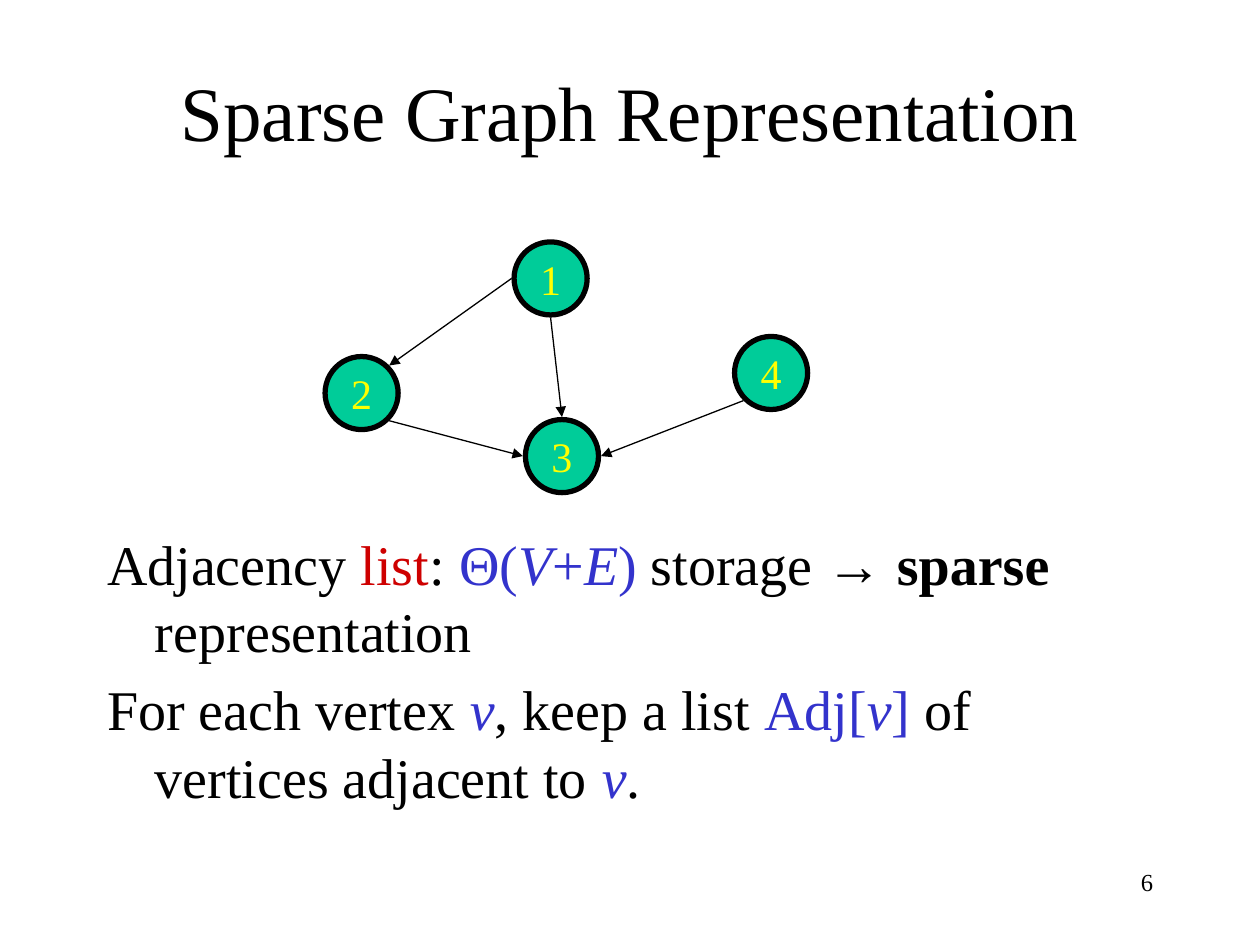
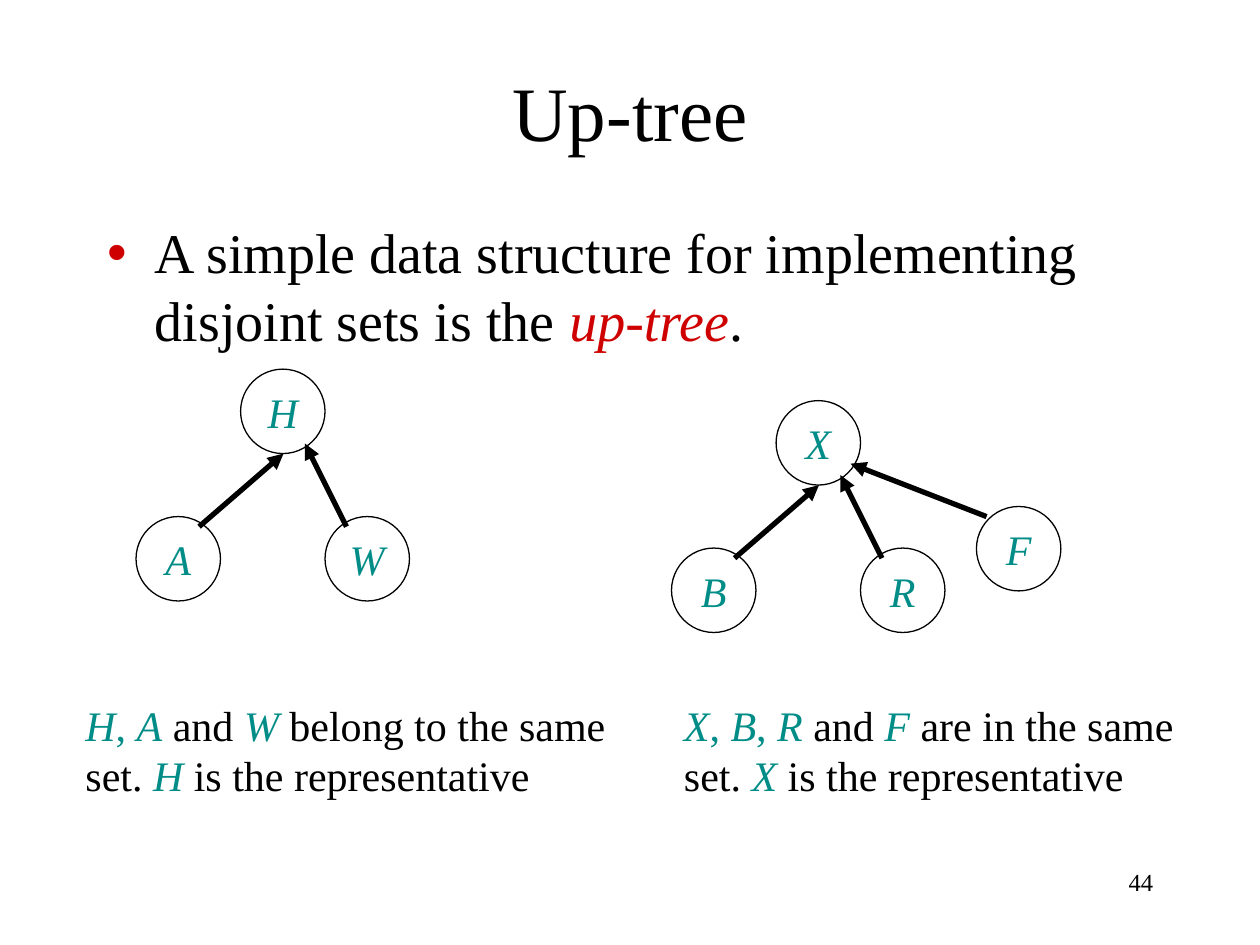
"""Build two slides on sparse graph representation and up-trees."""
from math import cos, radians, sin

from lxml.etree import SubElement
from pptx import Presentation
from pptx.dml.color import RGBColor
from pptx.enum.shapes import MSO_CONNECTOR as Connector, MSO_SHAPE as Shape
from pptx.enum.text import MSO_ANCHOR as Anchor, MSO_AUTO_SIZE as AutoSize, PP_ALIGN as Align
from pptx.oxml.ns import qn
from pptx.util import Inches, Pt

FONT = "Times New Roman"
BLACK = RGBColor(0x00, 0x00, 0x00)
RED = RGBColor(0xCE, 0x00, 0x00)
BLUE = RGBColor(0x33, 0x33, 0xCC)
TEAL = RGBColor(0x00, 0x8C, 0x87)
GREEN = RGBColor(0x00, 0xCC, 0x99)
YELLOW = RGBColor(0xFF, 0xFF, 0x00)

STYLES = {
    "red": {"color": RED},
    "red italic": {"color": RED, "italic": True},
    "blue": {"color": BLUE},
    "blue italic": {"color": BLUE, "italic": True},
    "teal": {"color": TEAL},
    "teal italic": {"color": TEAL, "italic": True},
    "bold": {"bold": True},
    "plain": {},
}

SPARSE_TEXT = [
    [("Adjacency ", "plain"), ("list", "red"), (": ", "plain"), ("Θ(", "blue"),
     ("V", "blue italic"), ("+", "blue"), ("E", "blue italic"), (")", "blue"),
     (" storage → ", "plain"), ("sparse", "bold"), (" representation", "plain")],
    [("For each vertex ", "plain"), ("v", "blue italic"), (", keep a list ", "plain"),
     ("Adj[", "blue"), ("v", "blue italic"), ("]", "blue"),
     (" of vertices adjacent to ", "plain"), ("v", "blue italic"), (".", "plain")],
]
VERTEX_SIZE = 0.58
VERTEX_REACH = 0.31
VERTICES = {"1": (4.08, 1.92), "2": (2.58, 2.83), "3": (4.17, 3.33), "4": (5.83, 2.67)}
EDGES = [("1", 180, "2", 45), ("2", -45, "3", 180), ("1", -90, "3", 90), ("4", 225, "3", 0)]

UP_TREE_TEXT = [
    [("A simple data structure for implementing disjoint sets is the ", "plain"),
     ("up-tree", "red italic"), (".", "plain")],
]
MEMBER_SIZE = 0.67
BRANCHES = [
    {"offset": (-0.83, 1.17), "start": (0.5, 0.08), "end": (0.34, 0.67)},
    {"offset": (0.67, 1.17), "start": (0.17, 0.08), "end": (0.51, 0.59)},
    {"offset": (1.59, 0.84), "start": (0.08, 0.08), "end": (0.59, 0.5)},
]
TREES = [
    {"root": "H", "at": (1.91, 2.93), "children": "AW", "caption_at": (0.58, 5.5, 4.5, 0.9),
     "caption": [("H", "teal italic"), (", ", "teal"), ("A", "teal italic"),
                 (" and ", "plain"), ("W", "teal italic"),
                 (" belong to the same set. ", "plain"), ("H", "teal italic"),
                 (" is the representative", "plain")]},
    {"root": "X", "at": (6.16, 3.18), "children": "BRF", "caption_at": (5.33, 5.5, 4.33, 0.9),
     "caption": [("X", "teal italic"), (", ", "teal"), ("B", "teal italic"), (", ", "teal"),
                 ("R", "teal italic"), (" and ", "plain"), ("F", "teal italic"),
                 (" are in the same set. ", "plain"), ("X ", "teal italic"),
                 ("is the representative", "plain")]},
]


def place(box, left, top, width, height):
    box.left, box.top = Inches(left), Inches(top)
    box.width, box.height = Inches(width), Inches(height)


def set_font(para, size, color=BLACK, italic=False):
    para.font.name = FONT
    para.font.size = Pt(size)
    para.font.color.rgb = color
    para.font.italic = italic


def add_spans(para, spans):
    for text, style in spans:
        span = para.add_run()
        span.text = text
        look = STYLES[style]
        if "color" in look:
            span.font.color.rgb = look["color"]
        if "italic" in look:
            span.font.italic = True
        if "bold" in look:
            span.font.bold = True


def add_page(deck, title, number):
    page = deck.slides.add_slide(deck.slide_layouts[1])
    heading = page.shapes.title
    place(heading, 0.75, 0.25, 8.5, 1.25)
    heading.text_frame.text = title
    heading.text_frame.auto_size = AutoSize.NONE
    heading.text_frame.vertical_anchor = Anchor.MIDDLE
    para = heading.text_frame.paragraphs[0]
    para.alignment = Align.CENTER
    set_font(para, 44)
    box = page.shapes.add_textbox(*map(Inches, (7.17, 6.83, 2.08, 0.5)))
    box.text_frame.word_wrap = True
    para = box.text_frame.paragraphs[0]
    para.text = number
    para.alignment = Align.RIGHT
    set_font(para, 14)
    return page


def fill_body(page, paragraphs, top, height, bulleted):
    body = page.placeholders[1]
    place(body, 0.75, top, 8.5, height)
    frame = body.text_frame
    frame.auto_size = AutoSize.NONE
    for index, spans in enumerate(paragraphs):
        para = frame.add_paragraph() if index else frame.paragraphs[0]
        para.space_before = Pt(6.4 if index else 0)
        props = para._p.get_or_add_pPr()
        props.set("marL", str(Inches(0.38)))
        props.set("indent", str(-Inches(0.38)))
        if bulleted:
            color = SubElement(props, qn("a:buClr"))
            SubElement(color, qn("a:srgbClr")).set("val", str(RED))
            SubElement(props, qn("a:buChar")).set("char", "•")
        else:
            SubElement(props, qn("a:buNone"))
        set_font(para, 32)
        add_spans(para, spans)


def add_node(shapes, label, at, size, line_width, color, fill=None, italic=False):
    node = shapes.add_shape(Shape.OVAL, *map(Inches, (*at, size, size)))
    node.shadow.inherit = False
    if fill is None:
        node.fill.background()
    else:
        node.fill.solid()
        node.fill.fore_color.rgb = fill
    node.line.color.rgb = BLACK
    node.line.width = Pt(line_width)
    frame = node.text_frame
    frame.word_wrap = False
    frame.vertical_anchor = Anchor.MIDDLE
    para = frame.paragraphs[0]
    para.text = label
    para.alignment = Align.CENTER
    set_font(para, 24, color, italic)


def add_arrow(shapes, start, end, line_width):
    arrow = shapes.add_connector(Connector.STRAIGHT, *map(Inches, (*start, *end)))
    arrow.line.color.rgb = BLACK
    arrow.line.width = Pt(line_width)
    SubElement(arrow.line._get_or_add_ln(), qn("a:tailEnd")).set("type", "triangle")
    SubElement(arrow._element.spPr, qn("a:effectLst"))


def shift(point, offset):
    return point[0] + offset[0], point[1] + offset[1]


def rim_point(vertex, degrees):
    angle = radians(degrees)
    half = VERTEX_SIZE / 2
    return shift(VERTICES[vertex],
                 (half + VERTEX_REACH * cos(angle), half - VERTEX_REACH * sin(angle)))


def add_tree(page, tree):
    shapes = page.shapes.add_group_shape().shapes
    add_node(shapes, tree["root"], tree["at"], MEMBER_SIZE, 0.75, TEAL, italic=True)
    for label, branch in zip(tree["children"], BRANCHES):
        at = shift(tree["at"], branch["offset"])
        add_node(shapes, label, at, MEMBER_SIZE, 0.75, TEAL, italic=True)
        add_arrow(shapes, shift(at, branch["start"]), shift(tree["at"], branch["end"]), 3)
    box = page.shapes.add_textbox(*map(Inches, tree["caption_at"]))
    box.text_frame.word_wrap = True
    box.text_frame.auto_size = AutoSize.SHAPE_TO_FIT_TEXT
    para = box.text_frame.paragraphs[0]
    set_font(para, 24)
    add_spans(para, tree["caption"])


def main():
    deck = Presentation()
    deck.slide_width, deck.slide_height = Inches(10), Inches(7.5)

    page = add_page(deck, "Sparse Graph Representation", "6")
    fill_body(page, SPARSE_TEXT, 4.15, 2.52, bulleted=False)
    for label, at in VERTICES.items():
        add_node(page.shapes, label, at, VERTEX_SIZE, 3, YELLOW, GREEN)
    for source, leave, target, arrive in EDGES:
        add_arrow(page.shapes, rim_point(source, leave), rim_point(target, arrive), 0.75)

    page = add_page(deck, "Up-tree", "44")
    fill_body(page, UP_TREE_TEXT, 1.68, 1.17, bulleted=True)
    for tree in TREES:
        add_tree(page, tree)

    deck.save("out.pptx")


if __name__ == "__main__":
    main()
